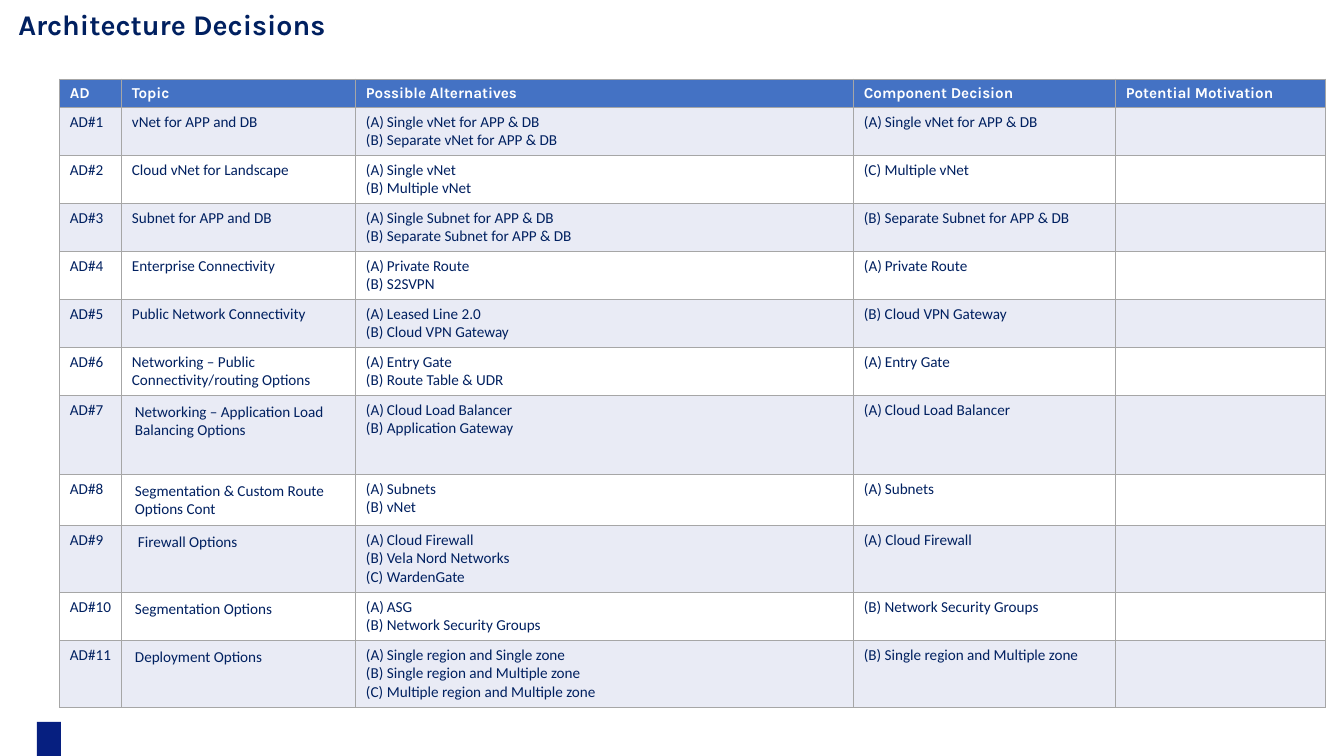
import pptx
import pptx.dml.color
import pptx.enum.shapes
import pptx.enum.text
import pptx.oxml
import pptx.oxml.ns
import pptx.util
from lxml import etree

NAVY, WHITE, HEADER_BLUE = "002060", "FFFFFF", "4472C4"
BAND, GRID, MARKER_BLUE = "E9EBF5", "A6A6A6", "061F80"

COLUMNS = {"AD": 62, "Topic": 234, "Possible Alternatives": 498,
           "Component Decision": 262, "Potential Motivation": 210}

# Row height, topic inset (left, top), topic, alternatives, decision.
# Text without its own "(X)" is lettered automatically.
DECISIONS = [
    (48, (10, 5), "vNet for APP and DB",
     ["Single vNet for APP & DB", "Separate vNet for APP & DB"], "Single vNet for APP & DB"),
    (48, (10, 5), "Cloud vNet for Landscape", ["Single vNet", "Multiple vNet"], "(C) Multiple vNet"),
    (48, (10, 5), "Subnet for APP and DB",
     ["Single Subnet for APP & DB", "Separate Subnet for APP & DB"],
     "(B) Separate Subnet for APP & DB"),
    (48, (10, 5), "Enterprise Connectivity", ["Private Route", "S2SVPN"], "Private Route"),
    (48, (10, 5), "Public Network Connectivity",
     ["Leased Line 2.0", "Cloud VPN Gateway"], "(B) Cloud VPN Gateway"),
    (48, (10, 5), "Networking – Public Connectivity/routing Options",
     ["Entry Gate", "Route Table & UDR"], "Entry Gate"),
    (79, (13, 7), "Networking – Application Load Balancing Options",
     ["Cloud Load Balancer", "Application Gateway"], "Cloud Load Balancer"),
    (51, (13, 7), "Segmentation & Custom Route Options Cont", ["Subnets", "vNet"], "Subnets"),
    (67, (16, 7), "Firewall Options",
     ["Cloud Firewall", "Vela Nord Networks", "WardenGate"], "(A) Cloud Firewall"),
    (48, (13, 7), "Segmentation Options",
     ["ASG", "Network Security Groups"], "(B) Network Security Groups"),
    (67, (13, 7), "Deployment Options",
     ["Single region and Single zone", "Single region and Multiple zone",
      "Multiple region and Multiple zone"], "(B) Single region and Multiple zone"),
]


def px(length):
    return pptx.util.Emu(round(length * 914400 / 84))


def color(value):
    return pptx.dml.color.RGBColor.from_string(value)


class SlideBuilder:
    """Holds the slide and its text style."""

    def __init__(self, slide):
        self.slide = slide
        self.heading_font, self.body_font = "Karla", "Calibri"
        self.cell_size = 13

    def style(self, para, font, size, ink, bold=False):
        for span in para.runs:
            span.font.name, span.font.size = font, pptx.util.Pt(size)
            span.font.bold, span.font.color.rgb = bold, color(ink)

    def block(self, left, top, width, height, fill):
        shape = self.slide.shapes.add_shape(
            pptx.enum.shapes.MSO_SHAPE.RECTANGLE, px(left), px(top), px(width), px(height))
        shape.shadow.inherit = False
        shape.fill.solid()
        shape.fill.fore_color.rgb = color(fill)
        shape.line.fill.background()

    def title(self, left, top, width, height, text):
        box = self.slide.shapes.add_textbox(px(left), px(top), px(width), px(height))
        box.text_frame.word_wrap = True
        box.text_frame.text = text
        para = box.text_frame.paragraphs[0]
        para.line_spacing = 0.9
        self.style(para, self.heading_font, 24.4, NAVY, bold=True)

    def table(self, left, top, widths, heights):
        frame = self.slide.shapes.add_table(
            len(heights), len(widths), px(left), px(top), px(sum(widths)), px(sum(heights)))
        table = frame.table
        for column, width in zip(table.columns, widths):
            column.width = px(width)
        for row, height in zip(table.rows, heights):
            row.height = px(height)
        return table

    def letter(self, para):
        properties = para._p.get_or_add_pPr()
        properties.set("marL", str(px(21)))
        properties.set("indent", str(-px(21)))
        etree.SubElement(properties, pptx.oxml.ns.qn("a:buAutoNum"), type="alphaUcParenBoth")

    def cell(self, cell, lines, fill, inset=(10, 5), lettered=False, header=False):
        cell.margin_left = cell.margin_right = px(inset[0])
        cell.margin_top = cell.margin_bottom = px(inset[1])
        anchors = pptx.enum.text.MSO_ANCHOR
        cell.vertical_anchor = anchors.MIDDLE if header else anchors.TOP
        cell.text_frame.text = "\n".join(lines)
        for para in cell.text_frame.paragraphs:
            if lettered and para.text and not para.text.startswith("("):
                self.letter(para)
            font, ink = (self.heading_font, WHITE) if header else (self.body_font, NAVY)
            self.style(para, font, self.cell_size, ink, bold=header)
        # Borders come before the fill in the cell properties
        for side in "LRTB":
            cell._tc.get_or_add_tcPr().append(pptx.oxml.parse_xml(
                f'<a:ln{side} {pptx.oxml.ns.nsdecls("a")} w="12700"><a:solidFill>'
                f'<a:srgbClr val="{GRID}"/></a:solidFill></a:ln{side}>'))
        cell.fill.solid()
        cell.fill.fore_color.rgb = color(fill)


def main():
    deck = pptx.Presentation()
    deck.slide_width, deck.slide_height = px(1344), px(756)
    page = SlideBuilder(deck.slides.add_slide(deck.slide_layouts[6]))

    # Corner marker and title
    page.block(37, 722, 24, 34, MARKER_BLUE)
    page.title(10, 7, 1204, 60, "Architecture Decisions")

    # Decision table: header row
    heights = [29] + [decision[0] for decision in DECISIONS]
    table = page.table(60, 79, list(COLUMNS.values()), heights)
    for column, heading in enumerate(COLUMNS):
        page.cell(table.cell(0, column), [heading], HEADER_BLUE, header=True)

    # Decision table: one banded row per decision
    for row, (_, inset, topic, alternatives, choice) in enumerate(DECISIONS, start=1):
        fill = BAND if row % 2 else WHITE
        page.cell(table.cell(row, 0), [f"AD#{row}"], fill)
        page.cell(table.cell(row, 1), [topic], fill, inset=inset)
        page.cell(table.cell(row, 2), alternatives, fill, lettered=True)
        page.cell(table.cell(row, 3), [choice], fill, lettered=True)
        page.cell(table.cell(row, 4), [], fill)

    deck.save("out.pptx")


if __name__ == "__main__":
    main()
